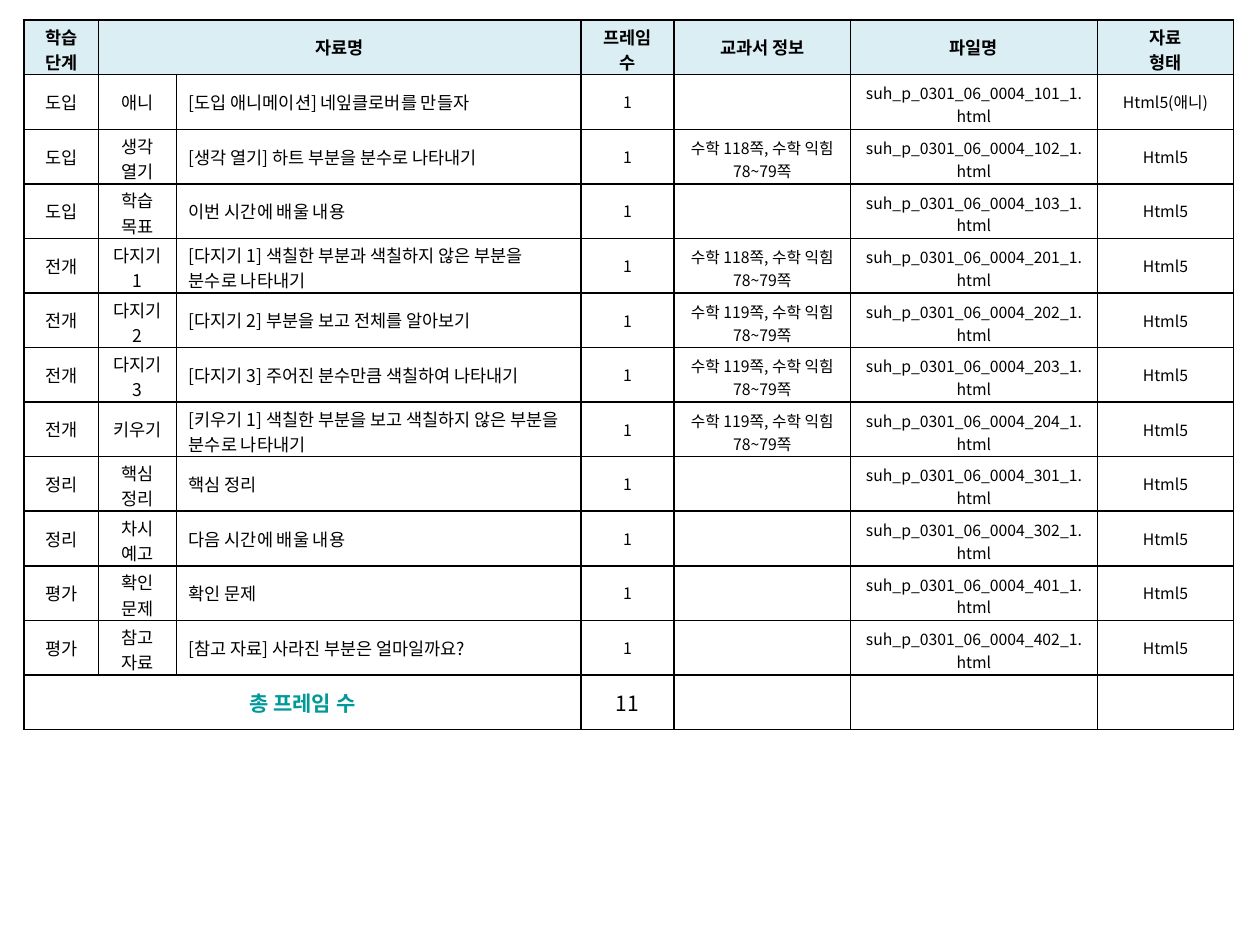
from lxml import etree
from pptx import Presentation
from pptx import util as u
from pptx.dml.color import RGBColor
from pptx.enum import text
from pptx.oxml.ns import qn

THEME = {
    "font": "Noto Sans CJK KR",
    "ink": RGBColor(0x00, 0x00, 0x00),
    "accent": RGBColor(0x00, 0x99, 0x99),
    "header": RGBColor(0xDB, 0xEE, 0xF4),
    "paper": RGBColor(0xFF, 0xFF, 0xFF),
    "body_size": u.Pt(10),
    "small_size": u.Pt(9),
    "total_size": u.Pt(12),
    "border": u.Pt(1),
}
COLUMN_WIDTHS = [0.59, 0.62, 3.21, 0.74, 1.4, 1.96, 1.08]
# Most characters that stay on one line in each column
LINE_CAPACITIES = [3, 3, 30, 4, 10, 20, 10]
# Top and bottom insets that keep two lines within the row height
TWO_LINE_INSETS = {THEME["body_size"]: (0.03, 0), THEME["small_size"]: (0.05, 0.01)}
HEADERS = ["학습 단계", "자료명", "", "프레임 수", "교과서 정보", "파일명", "자료\n형태"]
# Stage, activity, material, mathematics textbook page, file number
MATERIALS = [
    ("도입", "애니", "[도입 애니메이션] 네잎클로버를 만들자", None, 101),
    ("도입", "생각 열기", "[생각 열기] 하트 부분을 분수로 나타내기", 118, 102),
    ("도입", "학습 목표", "이번 시간에 배울 내용", None, 103),
    ("전개", "다지기 1", "[다지기 1] 색칠한 부분과 색칠하지 않은 부분을 분수로 나타내기", 118, 201),
    ("전개", "다지기 2", "[다지기 2] 부분을 보고 전체를 알아보기", 119, 202),
    ("전개", "다지기 3", "[다지기 3] 주어진 분수만큼 색칠하여 나타내기", 119, 203),
    ("전개", "키우기", "[키우기 1] 색칠한 부분을 보고 색칠하지 않은 부분을 분수로 나타내기", 119, 204),
    ("정리", "핵심 정리", "핵심 정리", None, 301),
    ("정리", "차시 예고", "다음 시간에 배울 내용", None, 302),
    ("평가", "확인 문제", "확인 문제", None, 401),
    ("평가", "참고 자료", "[참고 자료] 사라진 부분은 얼마일까요?", None, 402),
]


def add_borders(cell):
    properties = cell._tc.get_or_add_tcPr()
    for position, side in enumerate(("a:lnL", "a:lnR", "a:lnT", "a:lnB")):
        line = etree.Element(qn(side), w=str(THEME["border"]))
        fill = etree.SubElement(line, qn("a:solidFill"))
        etree.SubElement(fill, qn("a:srgbClr"), val=str(THEME["ink"]))
        properties.insert(position, line)


def write_cell(cell, content, fill, alignment, font_format):
    cell.fill.solid()
    cell.fill.fore_color.rgb = fill
    cell.vertical_anchor = text.MSO_ANCHOR.MIDDLE
    add_borders(cell)
    cell.text = content
    for paragraph in cell.text_frame.paragraphs:
        paragraph.alignment = alignment
        for run in paragraph.runs:
            run.font.color.rgb = font_format["color"]
            for name in ("name", "size", "bold"):
                setattr(run.font, name, font_format[name])
            etree.SubElement(run.font._element, qn("a:ea"), typeface=THEME["font"])


body = {"name": THEME["font"], "size": THEME["body_size"], "bold": False, "color": THEME["ink"]}
small = {**body, "size": THEME["small_size"]}
heading = {**body, "bold": True}
total = {**body, "size": THEME["total_size"]}
total_label = {**total, "bold": True, "color": THEME["accent"]}

rows = [(HEADERS, THEME["header"], [heading] * 7)]
for stage, activity, material, page, number in MATERIALS:
    textbook = f"수학 {page}쪽, 수학 익힘 78~79쪽" if page else ""
    file_name = f"suh_p_0301_06_0004_{number}_1.html"
    file_type = "Html5(애니)" if activity == "애니" else "Html5"
    values = [stage, activity, material, "1", textbook, file_name, file_type]
    rows.append((values, THEME["paper"], [body] * 3 + [small] * 4))
totals = ["총 프레임 수", "", "", str(len(MATERIALS)), "", "", ""]
rows.append((totals, THEME["paper"], [total_label] * 3 + [total] * 4))

presentation = Presentation()
presentation.slide_width = u.Inches(10)
presentation.slide_height = u.Inches(7.5)
slide = presentation.slides.add_slide(presentation.slide_layouts[6])
table = slide.shapes.add_table(
    len(rows), len(COLUMN_WIDTHS),
    u.Inches(0.19), u.Inches(0.16), u.Inches(9.6), u.Inches(5.63),
).table
for column, width in zip(table.columns, COLUMN_WIDTHS):
    column.width = u.Inches(width)

for row_index, (values, fill, formats) in enumerate(rows):
    for column_index, (content, font_format) in enumerate(zip(values, formats)):
        cell = table.cell(row_index, column_index)
        is_material = column_index == 2 and 0 < row_index < len(rows) - 1
        alignment = text.PP_ALIGN.LEFT if is_material else text.PP_ALIGN.CENTER
        write_cell(cell, content, fill, alignment, font_format)
        wraps = "\n" in content or len(content) > LINE_CAPACITIES[column_index]
        if wraps and font_format["size"] in TWO_LINE_INSETS:
            top, bottom = TWO_LINE_INSETS[font_format["size"]]
            cell.margin_top, cell.margin_bottom = u.Inches(top), u.Inches(bottom)

table.cell(0, 1).merge(table.cell(0, 2))
last_row = len(rows) - 1
table.cell(last_row, 0).merge(table.cell(last_row, 2))

presentation.save("out.pptx")
